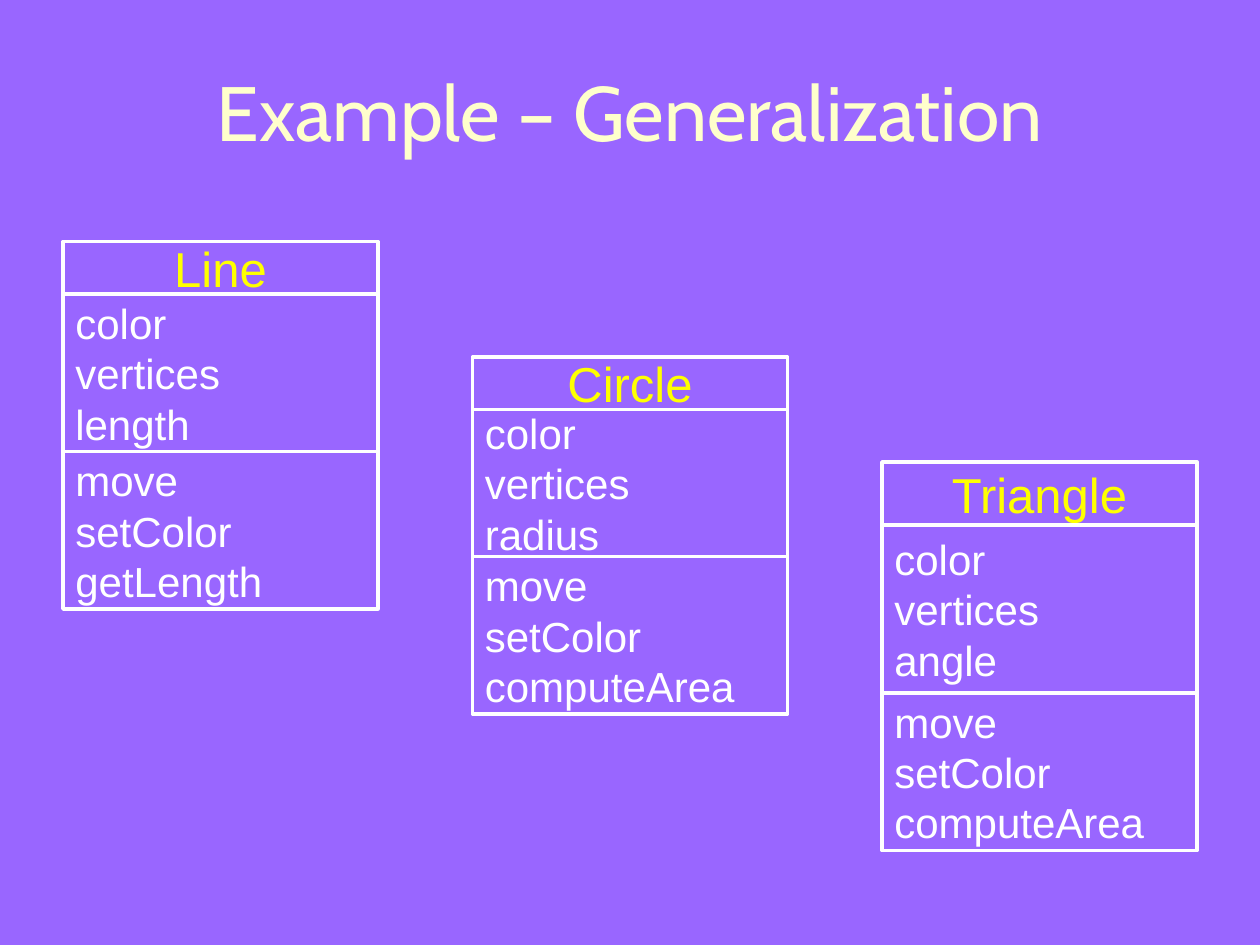
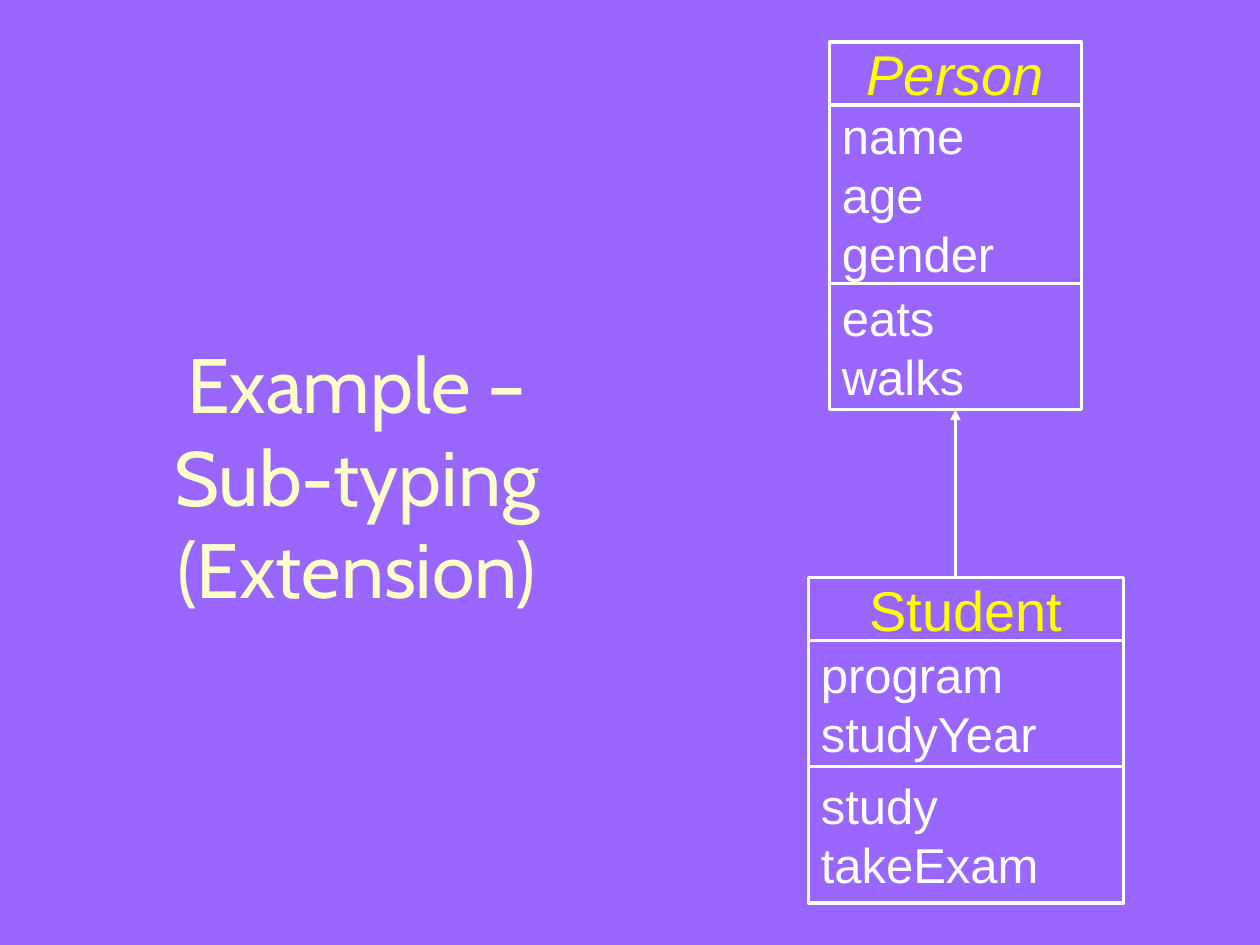
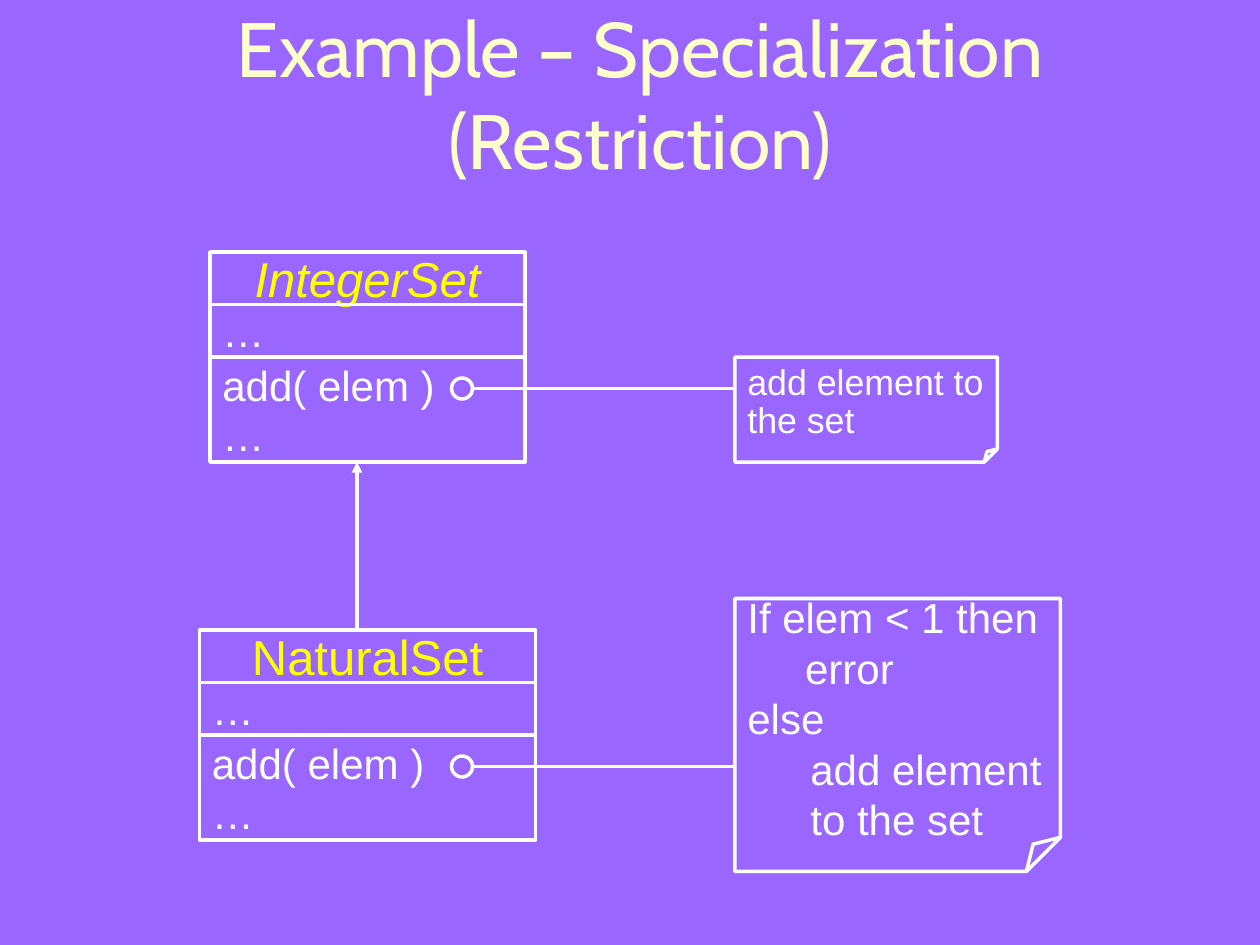
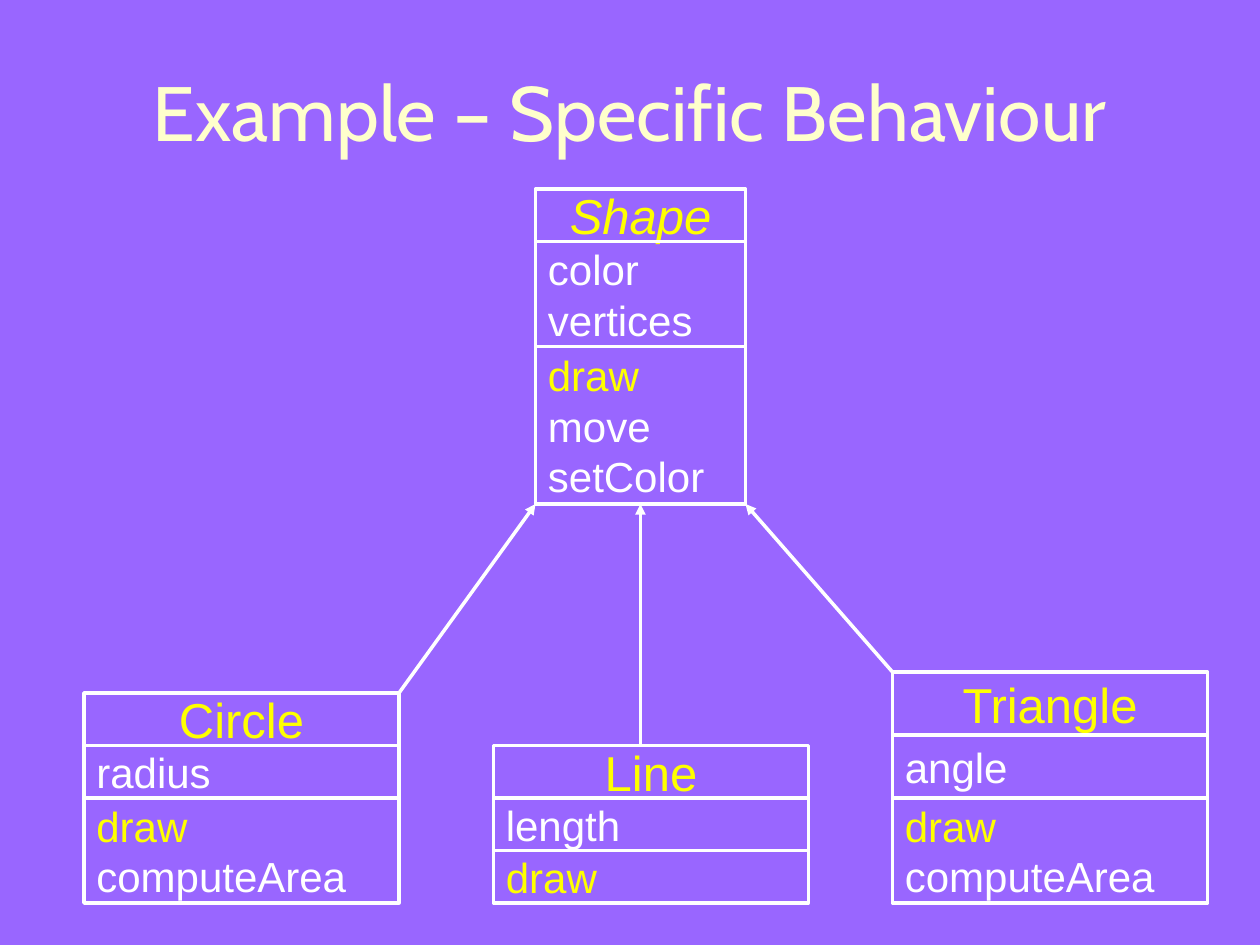
from dataclasses import dataclass

from lxml import etree
from pptx import Presentation
from pptx import util as u
from pptx.dml.color import RGBColor
from pptx.enum import shapes, text
from pptx.oxml import ns


@dataclass(frozen=True)
class Theme:
    background: RGBColor = RGBColor(0x99, 0x66, 0xFF)
    title: RGBColor = RGBColor(0xFF, 0xFF, 0xCC)
    accent: RGBColor = RGBColor(0xFF, 0xFF, 0x00)
    body: RGBColor = RGBColor(0xFF, 0xFF, 0xFF)
    title_font: str = "Cabin"
    body_font: str = "Arial"
    title_size: float = 44
    name_size: float = 28
    member_size: float = 24
    note_size: float = 20.4
    line_width: float = 2


THEME = Theme()
TITLE_AREA = (24, 18, 672, 90)
OVERRIDDEN = "draw"


def add_span(para, words, size, color, font=THEME.body_font, italic=False):
    span = para.add_run()
    span.text = words
    span.font.name = font
    span.font.size = u.Pt(size)
    span.font.color.rgb = color
    if italic:
        span.font.italic = True


def next_para(frame, index):
    return frame.add_paragraph() if index else frame.paragraphs[0]


def add_title(page, lines, area=TITLE_AREA):
    box = page.shapes.add_textbox(*map(u.Pt, area))
    frame = box.text_frame
    frame.word_wrap = True
    frame.vertical_anchor = text.MSO_ANCHOR.MIDDLE
    para = frame.paragraphs[0]
    para.alignment = text.PP_ALIGN.CENTER
    for index, line in enumerate(lines):
        if index:
            para.add_line_break()
        add_span(para, line, THEME.title_size, THEME.title, THEME.title_font)


def add_outline(page, kind, left, top, width, height, wrap=False):
    box = page.shapes.add_shape(kind, *map(u.Pt, (left, top, width, height)))
    box.shadow.inherit = False
    box.fill.background()
    box.line.color.rgb = THEME.body
    box.line.width = u.Pt(THEME.line_width)
    box.text_frame.word_wrap = wrap
    box.text_frame.vertical_anchor = text.MSO_ANCHOR.MIDDLE
    return box


def add_class(page, left, top, width, heights, name, attributes, methods,
              abstract=False, size=THEME.member_size):
    boxes = []
    for height in heights:
        boxes.append(add_outline(page, shapes.MSO_SHAPE.RECTANGLE, left, top, width, height))
        top += height
    heading = boxes[0].text_frame.paragraphs[0]
    heading.alignment = text.PP_ALIGN.CENTER
    add_span(heading, name, size + THEME.name_size - THEME.member_size, THEME.accent,
             italic=abstract)
    for box, members in zip(boxes[1:], (attributes, methods)):
        for index, member in enumerate(members):
            para = next_para(box.text_frame, index)
            para.alignment = text.PP_ALIGN.LEFT
            color = THEME.accent if member == OVERRIDDEN else THEME.body
            add_span(para, member, size, color)
    return boxes[-1]


def set_fold(note, share):
    geometry = note._element.spPr.find(ns.qn("a:prstGeom"))
    guides = geometry.find(ns.qn("a:avLst"))
    if guides is None:
        guides = etree.SubElement(geometry, ns.qn("a:avLst"))
    etree.SubElement(guides, ns.qn("a:gd"), name="adj", fmla=f"val {int(share * 100000)}")


def add_note(page, area, lines, size, spacing=None):
    note = add_outline(page, shapes.MSO_SHAPE.FOLDED_CORNER, *area, wrap=True)
    set_fold(note, 0.125)
    for index, (indent, line) in enumerate(lines):
        para = next_para(note.text_frame, index)
        para.alignment = text.PP_ALIGN.LEFT
        if spacing:
            para.line_spacing = spacing
        if indent:
            para._p.get_or_add_pPr().set("marL", str(u.Pt(indent)))
        add_span(para, line, size, THEME.body)


def add_line(page, start, end, arrow=False, parent=None):
    line = page.shapes.add_connector(shapes.MSO_CONNECTOR.STRAIGHT, *map(u.Pt, start + end))
    line.line.color.rgb = THEME.body
    line.line.width = u.Pt(THEME.line_width)
    if arrow:
        etree.SubElement(line.line._get_or_add_ln(), ns.qn("a:tailEnd"), type="triangle")
    etree.SubElement(line._element.spPr, ns.qn("a:effectLst"))
    if parent is not None:
        line.end_connect(parent, 2)


def add_note_link(page, y, diameter=12, left=258, note_left=420):
    add_outline(page, shapes.MSO_SHAPE.OVAL, left, y - diameter / 2, diameter, diameter)
    add_line(page, (left + diameter, y), (note_left, y))


def generalization(page):
    add_title(page, ["Example – Generalization"])
    area_methods = ["move", "setColor", "computeArea"]
    add_class(page, 270, 204, 180, (30, 84, 90), "Circle",
              ["color", "vertices", "radius"], area_methods)
    add_class(page, 36, 138, 180, (30, 90, 90), "Line",
              ["color", "vertices", "length"], ["move", "setColor", "getLength"])
    add_class(page, 504, 264, 180, (36, 96, 90), "Triangle",
              ["color", "vertices", "angle"], area_methods)


def sub_typing(page):
    add_title(page, ["Example –", "Sub-typing (Extension)"], (36, 21.6, 336, 500))
    person = add_class(page, 474, 24, 144, (36, 102, 72), "Person",
                       ["name", "age", "gender"], ["eats", "walks"], abstract=True, size=28)
    add_class(page, 462, 330, 180, (36, 72, 78), "Student",
              ["program", "studyYear"], ["study", "takeExam"], size=28)
    add_line(page, (546, 330), (546, 234), arrow=True, parent=person)


def specialization(page):
    add_title(page, ["Example – Specialization (Restriction)"], (36, 21.6, 660, 62.6))
    heights = (30, 30, 60)
    members = (["…"], ["add( elem )", "…"])
    add_class(page, 120, 144, 180, heights, "IntegerSet", *members, abstract=True)
    add_class(page, 114, 360, 192, heights, "NaturalSet", *members)
    add_line(page, (204, 360), (204, 264), arrow=True)
    add_note(page, (420, 204, 150, 60), [(0, "add element to the set")], THEME.note_size, 0.9)
    add_note(page, (420, 342, 186, 156),
             [(0, "If elem < 1 then"), (33, "error"), (0, "else"), (36, "add element to the set")],
             THEME.member_size)
    for y in (222, 438):
        add_note_link(page, y)


def specific_behaviour(page):
    add_title(page, ["Example – Specific Behaviour"])
    parent = add_class(page, 306, 108, 120, (30, 60, 90), "Shape",
                       ["color", "vertices"], [OVERRIDDEN, "move", "setColor"], abstract=True)
    add_class(page, 48, 396, 180, (30, 30, 60), "Circle", ["radius"], [OVERRIDDEN, "computeArea"])
    add_class(page, 282, 426, 180, (30, 30, 30), "Line", ["length"], [OVERRIDDEN])
    add_class(page, 510, 384, 180, (36, 36, 60), "Triangle", ["angle"],
              [OVERRIDDEN, "computeArea"])
    add_line(page, (366, 426), (366, 288), arrow=True, parent=parent)
    add_line(page, (228, 396), (306, 288), arrow=True)
    add_line(page, (510, 384), (426, 288), arrow=True)


def main():
    deck = Presentation()
    deck.slide_width, deck.slide_height = u.Pt(720), u.Pt(540)
    fill = deck.slide_master.background.fill
    fill.solid()
    fill.fore_color.rgb = THEME.background
    for build in (generalization, sub_typing, specialization, specific_behaviour):
        build(deck.slides.add_slide(deck.slide_layouts[6]))
    deck.save("out.pptx")


if __name__ == "__main__":
    main()
